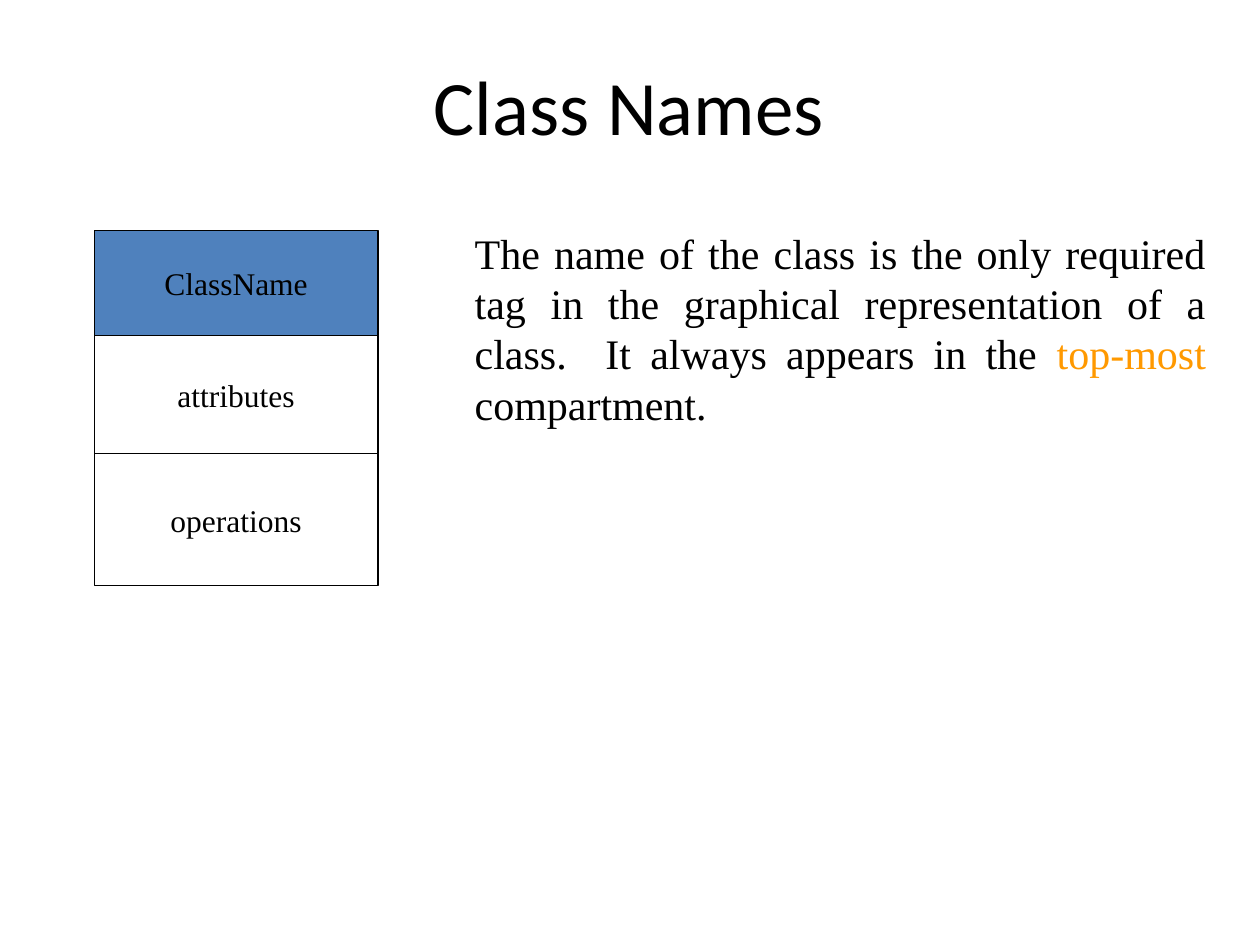
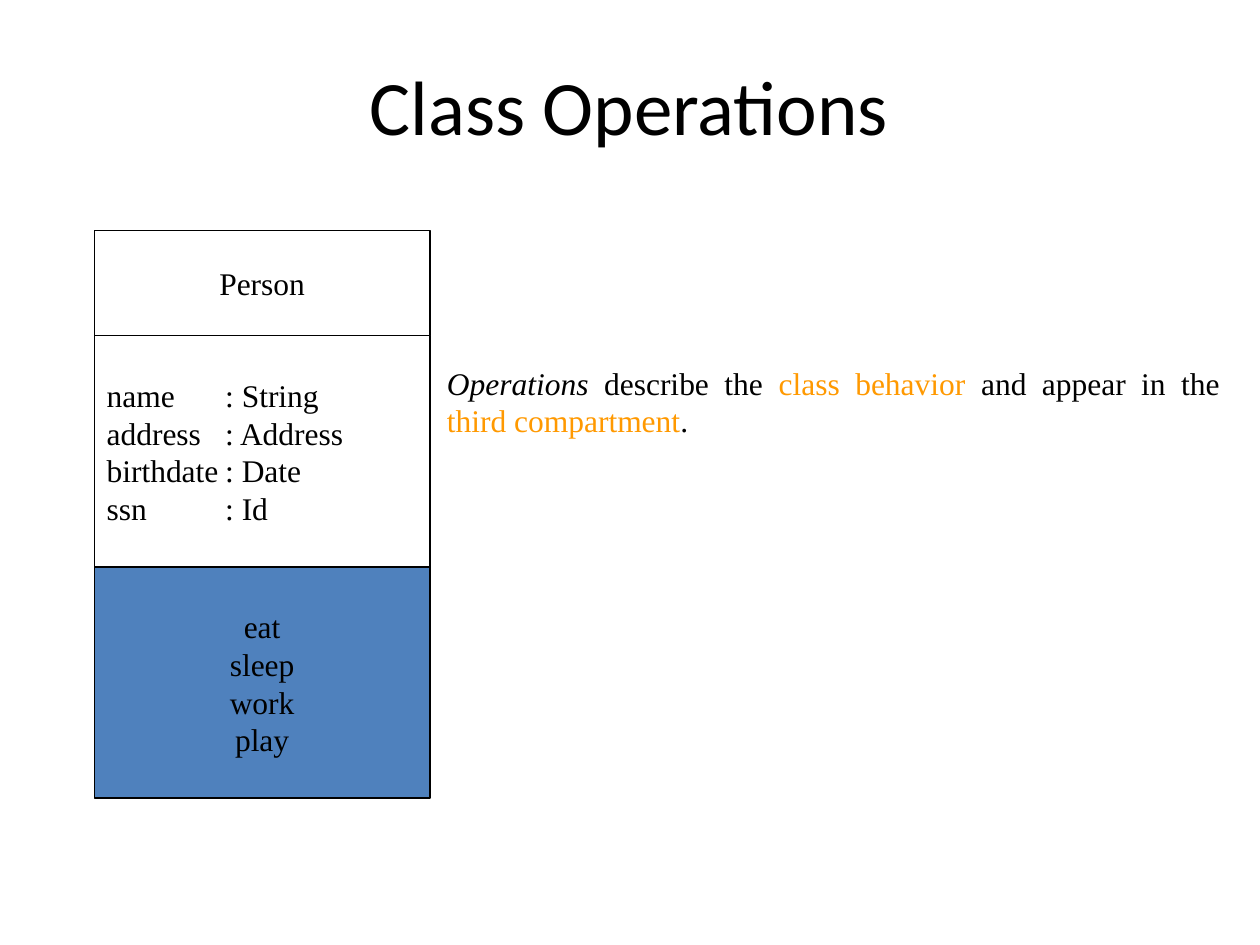
from dataclasses import dataclass

from lxml import etree
from pptx import Presentation
from pptx.dml.color import RGBColor
from pptx.enum.shapes import MSO_SHAPE
from pptx.enum.text import MSO_ANCHOR, MSO_AUTO_SIZE, PP_ALIGN
from pptx.oxml.ns import qn
from pptx.util import Cm, Pt

RECTANGLE = MSO_SHAPE.RECTANGLE
MIDDLE, TOP = MSO_ANCHOR.MIDDLE, MSO_ANCHOR.TOP
GROW = MSO_AUTO_SIZE.SHAPE_TO_FIT_TEXT
LEFT, CENTER, JUSTIFY = PP_ALIGN.LEFT, PP_ALIGN.CENTER, PP_ALIGN.JUSTIFY
TITLE_ONLY = 5


@dataclass(frozen=True)
class Theme:
    ink: RGBColor = RGBColor(0x00, 0x00, 0x00)
    paper: RGBColor = RGBColor(0xFF, 0xFF, 0xFF)
    highlight: RGBColor = RGBColor(0x4F, 0x81, 0xBD)
    accent: RGBColor = RGBColor(0xFF, 0x99, 0x00)
    title_font: str = "Calibri"
    body_font: str = "Times New Roman"
    title_size: float = 44
    lead_size: float = 24
    body_size: float = 18
    line_width: float = 0.75


THEME = Theme()
TITLE_BOX = (1.85, 0.85, 21.66, 2.54)
CLASS_ORIGIN = (1.9, 4.65)
TYPE_TAB = 2.39


def add_run(p, text, size=THEME.body_size, font=THEME.body_font,
            color=THEME.ink, italic=False):
    r = p.add_run()
    r.text = text
    for name, value in {"size": Pt(size), "name": font, "italic": italic}.items():
        setattr(r.font, name, value)
    r.font.color.rgb = color


def format_frame(tf, anchor):
    settings = {
        "word_wrap": True, "vertical_anchor": anchor,
        "margin_left": Cm(0.25), "margin_right": Cm(0.25),
        "margin_top": Cm(0.13), "margin_bottom": Cm(0.13),
    }
    for name, value in settings.items():
        setattr(tf, name, value)


def add_tab_stop(p, position):
    tabs = etree.SubElement(p._p.get_or_add_pPr(), qn("a:tabLst"))
    etree.SubElement(tabs, qn("a:tab"), pos=str(Cm(position)), algn="l")


def add_titled_slide(prs, title):
    s = prs.slides.add_slide(prs.slide_layouts[TITLE_ONLY])
    sp = s.shapes.title
    for name, value in zip(("left", "top", "width", "height"), TITLE_BOX):
        setattr(sp, name, Cm(value))
    format_frame(sp.text_frame, MIDDLE)
    p = sp.text_frame.paragraphs[0]
    p.alignment = CENTER
    add_run(p, title, THEME.title_size, THEME.title_font)
    return s


def add_compartment(group, box, lines, fill):
    """Draw one compartment; lines holding a tab are left-aligned in two columns."""
    sp = group.shapes.add_shape(RECTANGLE, *map(Cm, box))
    sp.shadow.inherit = False
    sp.fill.solid()
    sp.fill.fore_color.rgb = fill
    sp.line.color.rgb = THEME.ink
    sp.line.width = Pt(THEME.line_width)
    tf = sp.text_frame
    format_frame(tf, MIDDLE)
    for i, line in enumerate(lines):
        p = tf.add_paragraph() if i else tf.paragraphs[0]
        p.alignment = LEFT if "\t" in line else CENTER
        if "\t" in line:
            add_tab_stop(p, TYPE_TAB)
        add_run(p, line)


def add_class_diagram(s, origin, width, compartments, highlighted):
    """Stack (height, lines) compartments downwards and fill the highlighted one."""
    left, top = origin
    group = s.shapes.add_group_shape()
    for i, (height, lines) in enumerate(compartments):
        fill = THEME.highlight if i == highlighted else THEME.paper
        add_compartment(group, (left, top, width, height), lines, fill)
        top += height


def add_explanation(s, box, size, runs):
    sp = s.shapes.add_textbox(*map(Cm, box))
    tf = sp.text_frame
    format_frame(tf, TOP)
    tf.auto_size = GROW
    p = tf.paragraphs[0]
    p.alignment = JUSTIFY
    for text, style in runs:
        add_run(p, text, size, **style)


def build_class_names(prs):
    s = add_titled_slide(prs, "Class Names")
    add_class_diagram(s, CLASS_ORIGIN, 5.72, [
        (2.12, ["ClassName"]),
        (2.38, ["attributes"]),
        (2.65, ["operations"]),
    ], highlighted=0)
    add_explanation(s, (9.32, 4.45, 15.24, 4.32), THEME.lead_size, [
        ("The name of the class is the only required tag in the graphical "
         "representation of a class.  It always appears in the ", {}),
        ("top-most ", {"color": THEME.accent}),
        ("compartment.", {}),
    ])


def build_class_operations(prs):
    s = add_titled_slide(prs, "Class Operations")
    attributes = [("name", "String"), ("address", "Address"),
                  ("birthdate", "Date"), ("ssn", "Id")]
    add_class_diagram(s, CLASS_ORIGIN, 6.77, [
        (2.12, ["Person"]),
        (4.66, [f"{name}\t: {kind}" for name, kind in attributes]),
        (4.66, ["eat", "sleep", "work", "play"]),
    ], highlighted=2)
    add_explanation(s, (8.76, 7.2, 16.08, 1.78), THEME.body_size, [
        ("Operations ", {"italic": True}),
        ("describe the ", {}),
        ("class behavior ", {"color": THEME.accent}),
        ("and appear in the ", {}),
        ("third compartment", {"color": THEME.accent}),
        (".", {}),
    ])


def main():
    prs = Presentation()
    prs.slide_width, prs.slide_height = Cm(25.4), Cm(19.05)
    build_class_names(prs)
    build_class_operations(prs)
    prs.save("out.pptx")


if __name__ == "__main__":
    main()
